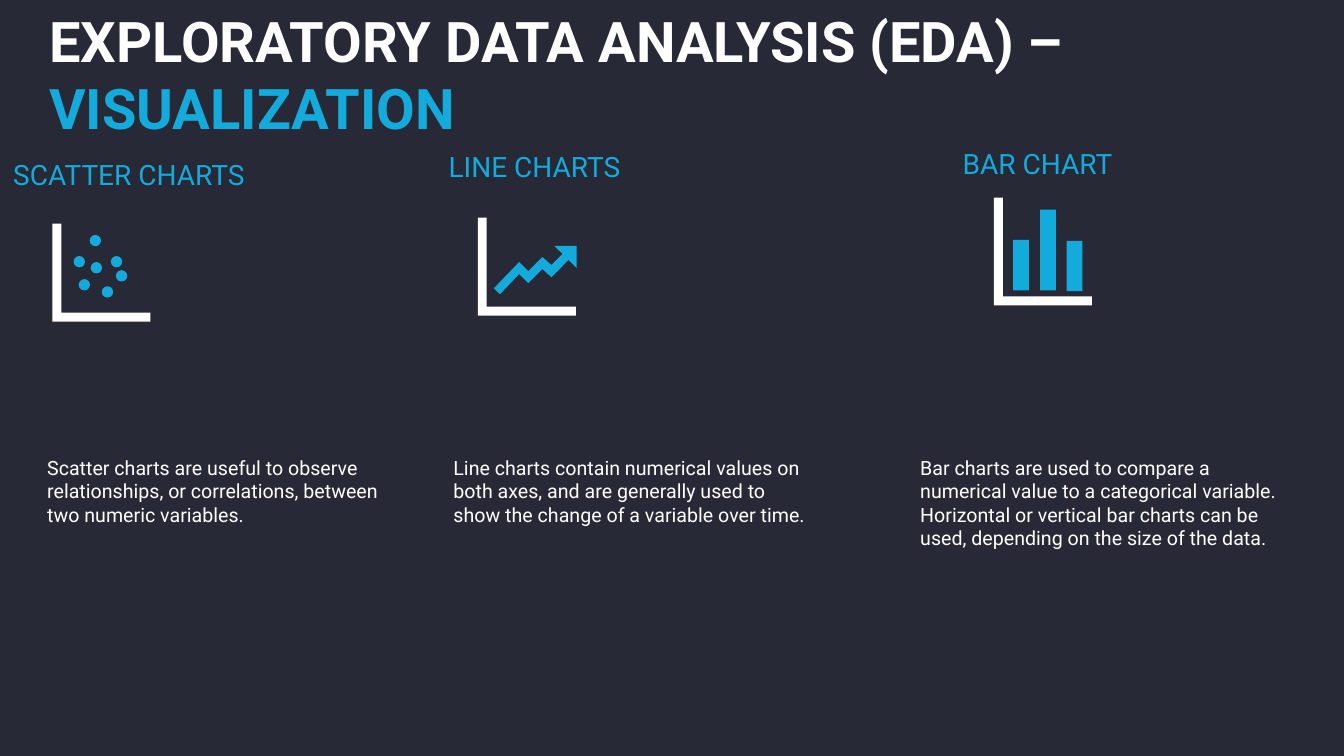
import pptx
import pptx.util
import pptx.dml.color
import pptx.enum.shapes
import pptx.enum.text
from dataclasses import dataclass

Pt = pptx.util.Pt
SHAPE = pptx.enum.shapes.MSO_SHAPE
ANCHOR = pptx.enum.text.MSO_ANCHOR
ALIGN = pptx.enum.text.PP_ALIGN
FIT = pptx.enum.text.MSO_AUTO_SIZE


@dataclass(frozen=True)
class Theme:
    back: str = "272936"
    white: str = "FFFFFF"
    blue: str = "12ABDB"
    font: str = "Roboto"
    title: int = 40
    head: int = 20
    body: int = 14


theme = Theme()

title = [("EXPLORATORY DATA ANALYSIS (EDA) – ", theme.white),
         ("VISUALIZATION", theme.blue)]

# Points inside an icon are measured from the top left of its axis.
panels = [
    dict(head="SCATTER CHARTS", place=(9.4, 112.3), axis=(37.4, 159.8, 70),
         left=26.6, icon="dots",
         body="Scatter charts are useful to observe relationships, or "
              "correlations, between two numeric variables."),
    dict(head="LINE CHARTS", place=(320.4, 106.6), axis=(341.3, 155.5, 70),
         left=316.8, icon="arrow",
         body="Line charts contain numerical values on both axes, and are "
              "generally used to show the change of a variable over time."),
    dict(head="BAR CHART", place=(687.6, 104.4), axis=(709.9, 141.1, 77),
         left=650.2, icon="bars",
         body="Bar charts are used to compare a numerical value to a "
              "categorical variable. Horizontal or vertical bar charts can "
              "be used, depending on the size of the data."),
]
dots = [(35.3, 44.7), (27.4, 27.4), (45.4, 33.2), (18.8, 39.6),
        (15.2, 23.1), (41.8, 23.1), (26.7, 8)]
bars = [(13.7, 30.3, 36), (33.1, 8.7, 57.6), (51.9, 31, 36)]
arrow = [(54.7, 20.2), (60.5, 25.9), (52.6, 33.8), (46.1, 28.1), (36, 38.2),
         (29.5, 31.7), (11.5, 50.4), (15.8, 54.7), (29.5, 40.3), (36, 46.8),
         (46.1, 36.7), (52.6, 42.5), (64.8, 30.2), (70.6, 36), (70.6, 20.2)]

WIDE, HIGH = 960, 540
SPAN = 272.2
AXIS, THICK = 70, 6.4
DOT, BAR = 8.1, 11.3
BODY_TOP = 321.8


def tint(name):
    return pptx.dml.color.RGBColor.from_string(name)


def write(shape, runs, size, bold=False, inset=None, after=0,
          anchor=ANCHOR.TOP):
    """Fill a shape with one paragraph of (text, colour) runs."""
    frame = shape.text_frame
    frame.word_wrap = True
    frame.auto_size = FIT.NONE
    frame.vertical_anchor = anchor
    if inset is not None:
        frame.margin_left = frame.margin_right = Pt(inset)
        frame.margin_top = frame.margin_bottom = 0
    para = frame.paragraphs[0]
    para.alignment = ALIGN.LEFT
    para.space_after = Pt(after)
    for text, color in runs:
        run = para.add_run()
        run.text = text
        run.font.name = theme.font
        run.font.size = Pt(size)
        run.font.bold = bold
        run.font.color.rgb = tint(color)


def paint(shape, color):
    shape.shadow.inherit = False
    shape.fill.solid()
    shape.fill.fore_color.rgb = tint(color)
    shape.line.fill.background()


def outline(slide, left, top, points, color):
    spots = [(Pt(left + x), Pt(top + y)) for x, y in points]
    pen = slide.shapes.build_freeform(*spots[0])
    pen.add_line_segments(spots[1:], close=True)
    paint(pen.convert_to_shape(), color)


def block(slide, kind, left, top, width, height):
    shape = slide.shapes.add_shape(kind, Pt(left), Pt(top),
                                   Pt(width), Pt(height))
    paint(shape, theme.blue)


def label(slide, left, top, height, text, color, size, **form):
    box = slide.shapes.add_textbox(Pt(left), Pt(top), Pt(SPAN), Pt(height))
    write(box, [(text, color)], size, **form)


def draw_icon(slide, icon, left, top, height):
    corner = [(THICK, 0), (0, 0), (0, height), (AXIS, height),
              (AXIS, height - THICK), (THICK, height - THICK)]
    outline(slide, left, top, corner, theme.white)
    if icon == "dots":
        for x, y in dots:
            block(slide, SHAPE.OVAL, left + x, top + y, DOT, DOT)
    elif icon == "bars":
        for x, y, tall in bars:
            block(slide, SHAPE.RECTANGLE, left + x, top + y, BAR, tall)
    else:
        outline(slide, left, top, arrow, theme.blue)


def main():
    deck = pptx.Presentation()
    deck.slide_width, deck.slide_height = Pt(WIDE), Pt(HIGH)
    slide = deck.slides.add_slide(deck.slide_layouts[5])
    slide.background.fill.solid()
    slide.background.fill.fore_color.rgb = tint(theme.back)

    head = slide.shapes.title
    head.left, head.top = Pt(32.4), Pt(3.6)
    head.width, head.height = Pt(896.4), Pt(97.2)
    write(head, title, theme.title, bold=True, inset=2.9,
          anchor=ANCHOR.BOTTOM)

    for panel in panels:
        label(slide, *panel["place"], 66.2, panel["head"], theme.blue,
              theme.head, inset=0, after=6)
        draw_icon(slide, panel["icon"], *panel["axis"])
        label(slide, panel["left"], BODY_TOP, 75, panel["body"],
              theme.white, theme.body)
    deck.save("out.pptx")


if __name__ == "__main__":
    main()
